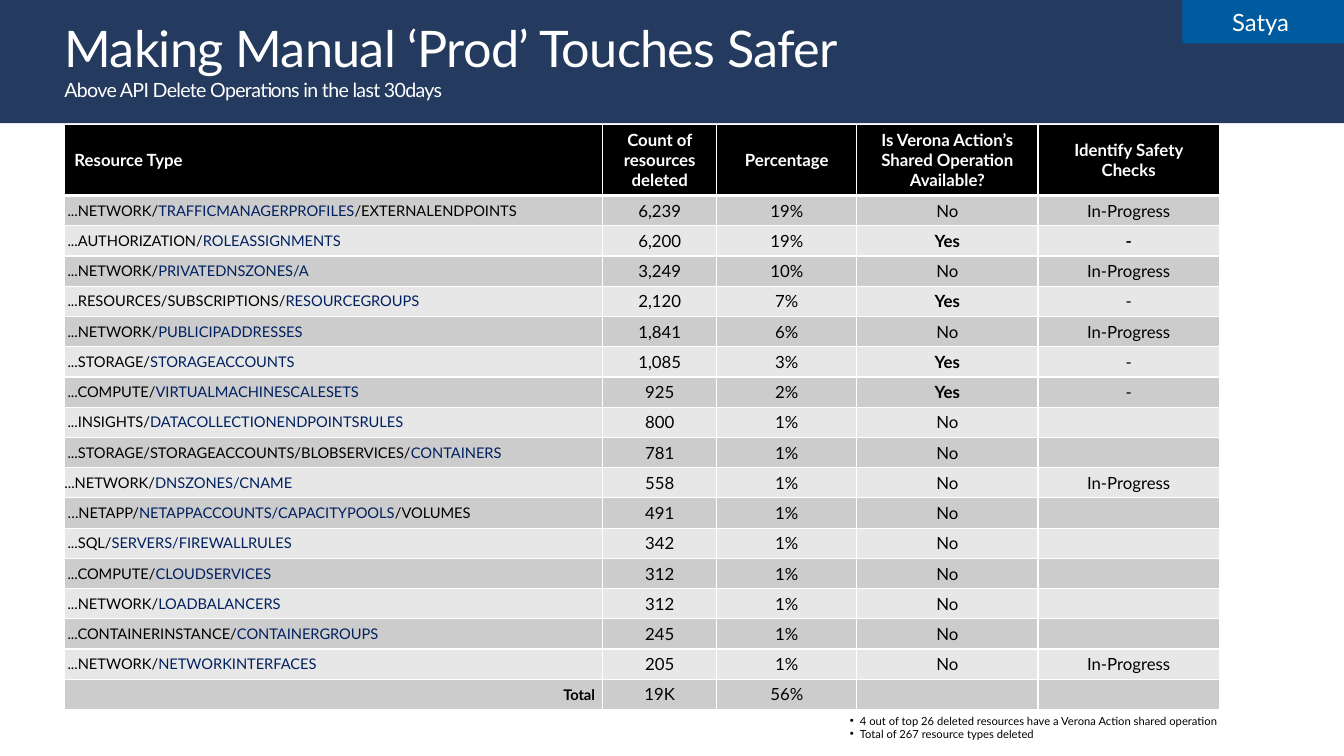
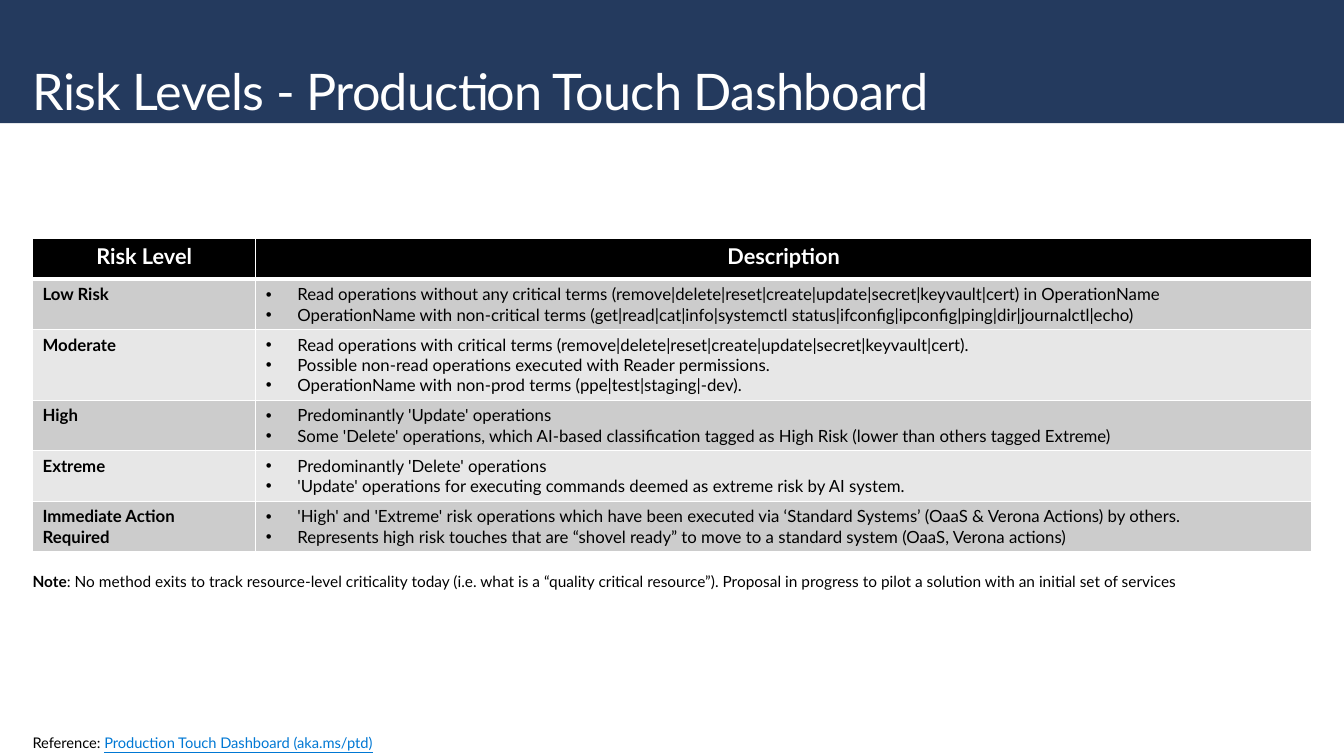
from dataclasses import dataclass, field
from typing import Any, Optional

import lxml.etree
import pptx
import pptx.dml.color
import pptx.enum.shapes
import pptx.enum.text
import pptx.oxml.ns
import pptx.util

Pt = pptx.util.Pt
qn = pptx.oxml.ns.qn
ALIGN = pptx.enum.text.PP_ALIGN
ANCHOR = pptx.enum.text.MSO_ANCHOR

FONT = "Lato"
COLORS = {
    "band": "243A5E", "badge": "005A9F", "white": "FFFFFF", "black": "000000",
    "navy": "002060", "link": "0078D4", "odd": "CCCCCC", "even": "E7E7E7",
}


@dataclass
class Run:
    text: str
    color: str = "black"
    fmt: dict[str, Any] = field(default_factory=dict)


@dataclass
class Para:
    runs: list[Run]
    size: float
    align: Any = ALIGN.LEFT
    bullet: float = 0


@dataclass
class Cell:
    paras: list[Para]
    margins: tuple[float, float, float, float] = (7.2, 3.6, 7.2, 3.6)


@dataclass
class Resource:
    name: str  # "|" switches between plain and highlighted text
    count: str
    share: str
    shared_op: str = "No"
    checks: str = ""
    indent: float = 2.25


@dataclass
class Risk:
    level: str
    notes: list[str]


# Shared helpers
def rgb(name: str) -> Any:
    return pptx.dml.color.RGBColor.from_string(COLORS[name])


def set_margins(obj: Any, margins: tuple[float, float, float, float]) -> None:
    for side, value in zip(("left", "top", "right", "bottom"), margins):
        setattr(obj, f"margin_{side}", Pt(value))


def add_run(p: Any, run: Run, size: float) -> Any:
    r = p.add_run()
    r.text = run.text
    for key, value in ({"name": FONT, "size": Pt(size), "bold": False} | run.fmt).items():
        setattr(r.font, key, value)
    r.font.color.rgb = rgb(run.color)
    return r


def write(tf: Any, paras: list[Para]) -> None:
    for i, para in enumerate(paras):
        p = tf.paragraphs[0] if i == 0 else tf.add_paragraph()
        if para.bullet:
            pPr = p._p.get_or_add_pPr()
            pPr.set("marL", str(Pt(para.bullet)))
            pPr.set("indent", str(-Pt(para.bullet)))
            lxml.etree.SubElement(pPr, qn("a:buFont")).set("typeface", "Arial")
            lxml.etree.SubElement(pPr, qn("a:buChar")).set("char", "•")
        p.alignment = para.align
        for run in para.runs:
            add_run(p, run, para.size)
        if not para.runs:
            end = lxml.etree.SubElement(p._p, qn("a:endParaRPr"))
            end.set("sz", str(int(para.size * 100)))


def add_box(slide: Any, at: tuple[float, float, float, float], paras: list[Para]) -> None:
    tf = slide.shapes.add_textbox(*map(Pt, at)).text_frame
    tf.word_wrap = True
    set_margins(tf, (0, 0, 0, 0))
    write(tf, paras)


def add_rect(slide: Any, at: tuple[float, float, float, float], color: str) -> Any:
    sp = slide.shapes.add_shape(pptx.enum.shapes.MSO_SHAPE.RECTANGLE, *map(Pt, at))
    sp.shadow.inherit = False
    sp.fill.solid()
    sp.fill.fore_color.rgb = rgb(color)
    sp.line.fill.background()
    return sp


def add_band(slide: Any) -> None:
    """Move the title band into the layout so every slide shows it."""
    band = add_rect(slide, (0, 0, 960, 88), "band")
    band._element.nvSpPr.cNvPr.set("id", "100")
    slide.slide_layout.shapes._spTree.insert(2, band._element)


def set_title(slide: Any, at: tuple[float, float, float, float],
              title: str, subtitle: str = "") -> None:
    sp = slide.shapes.title
    sp.left, sp.top, sp.width, sp.height = map(Pt, at)
    tf = sp.text_frame
    tf.word_wrap = True
    tf.vertical_anchor = ANCHOR.MIDDLE
    set_margins(tf, (0, 0, 0, 0))
    p = tf.paragraphs[0]
    p.alignment = ALIGN.LEFT
    for text, size in ((title, 36), (subtitle, 14)):
        if not text:
            continue
        if p.runs:
            p.add_line_break()
        r = add_run(p, Run(text, "white"), size)
        r.font._element.set("spc", "-50")


def set_borders(cell: Any, top: float, bottom: float) -> None:
    tcPr = cell._tc.get_or_add_tcPr()
    for tag, width in (("lnL", 1), ("lnR", 1), ("lnT", top), ("lnB", bottom)):
        ln = lxml.etree.SubElement(tcPr, qn(f"a:{tag}"), w=str(Pt(width)))
        fill = lxml.etree.SubElement(ln, qn("a:solidFill"))
        lxml.etree.SubElement(fill, qn("a:srgbClr"), val=COLORS["white"])


def add_table(slide: Any, left: float, top: float, widths: list[float],
              heights: list[float], rows: list[list[Cell]], anchor: Any) -> None:
    shape = slide.shapes.add_table(len(rows), len(widths), Pt(left), Pt(top),
                                   Pt(sum(widths)), Pt(sum(heights)))
    table = shape.table
    table.horz_banding = False
    for col, width in zip(table.columns, widths):
        col.width = Pt(width)
    for i, (row, height) in enumerate(zip(rows, heights)):
        table.rows[i].height = Pt(height)
        for j, content in enumerate(row):
            cell = table.cell(i, j)
            set_borders(cell, top=3 if i == 1 else 1, bottom=3 if i == 0 else 1)
            cell.fill.solid()
            cell.fill.fore_color.rgb = rgb("black" if i == 0 else "odd" if i % 2 else "even")
            cell.vertical_anchor = anchor
            set_margins(cell, content.margins)
            write(cell.text_frame, content.paras)


def header_cell(text: str, size: float, align: Any = ALIGN.CENTER) -> Cell:
    return Cell([Para([Run(text, "white", {"bold": True})], size, align)])


# Slide 1: deleted resources
HEADERS = ["Resource Type", "Count of resources deleted", "Percentage",
           "Is Verona Action’s Shared Operation Available?", "Identify Safety Checks"]
BUSY = "In-Progress"
RESOURCES = [
    Resource("...NETWORK/|TRAFFICMANAGERPROFILES|/EXTERNALENDPOINTS", "6,239", "19%", checks=BUSY),
    Resource("...AUTHORIZATION/|ROLEASSIGNMENTS", "6,200", "19%", "Yes", "-"),
    Resource("...NETWORK/|PRIVATEDNSZONES/A", "3,249", "10%", checks=BUSY),
    Resource("...RESOURCES/SUBSCRIPTIONS/|RESOURCEGROUPS", "2,120", "7%", "Yes", "-"),
    Resource("...NETWORK/|PUBLICIPADDRESSES", "1,841", "6%", checks=BUSY),
    Resource("...STORAGE/|STORAGEACCOUNTS", "1,085", "3%", "Yes", "-"),
    Resource("...COMPUTE/|VIRTUALMACHINESCALESETS", "925", "2%", "Yes", "-"),
    Resource("...INSIGHTS/|DATACOLLECTIONENDPOINTSRULES", "800", "1%"),
    Resource("...STORAGE/STORAGEACCOUNTS/BLOBSERVICES/|CONTAINERS", "781", "1%"),
    Resource("...NETWORK/|DNSZONES/CNAME", "558", "1%", checks=BUSY, indent=0),
    Resource("…NETAPP/|NETAPPACCOUNTS/CAPACITYPOOLS|/VOLUMES", "491", "1%"),
    Resource("...SQL/|SERVERS/FIREWALLRULES", "342", "1%"),
    Resource("...COMPUTE/|CLOUDSERVICES", "312", "1%"),
    Resource("...NETWORK/|LOADBALANCERS", "312", "1%"),
    Resource("...CONTAINERINSTANCE/|CONTAINERGROUPS", "245", "1%"),
    Resource("...NETWORK/|NETWORKINTERFACES", "205", "1%", checks=BUSY),
]


def value_cell(text: str, bold: Optional[bool] = None) -> Cell:
    strong = text == "Yes" if bold is None else bold
    runs = [Run(text, fmt={"bold": strong})] if text else []
    return Cell([Para(runs, 12, ALIGN.CENTER)], (0, 0, 0, 0))


def resource_row(res: Resource) -> list[Cell]:
    runs = [Run(part, "navy" if i % 2 else "black") for i, part in enumerate(res.name.split("|"))]
    bold_dash = True if res.name.endswith("ROLEASSIGNMENTS") else None
    return [Cell([Para(runs, 10.5)], (res.indent, 0, 0, 0)),
            value_cell(res.count), value_cell(res.share),
            value_cell(res.shared_op), value_cell(res.checks, bold_dash)]


def build_touches(slide: Any) -> None:
    set_title(slide, (46, 12.25, 867.5, 60.5), "Making Manual ‘Prod’ Touches Safer",
              "Above API Delete Operations in the last 30days")
    badge = add_rect(slide, (844.5, 0, 115.5, 31), "badge")
    tf = badge.text_frame
    tf.vertical_anchor = ANCHOR.MIDDLE
    set_margins(tf, (14.4, 0, 18, 0))
    write(tf, [Para([Run("Satya", "white")], 17, ALIGN.CENTER)])

    header = [header_cell(text, 12, ALIGN.CENTER if i else ALIGN.LEFT)
              for i, text in enumerate(HEADERS)]
    total = [Cell([Para([Run("Total", fmt={"bold": True})], 10.5, ALIGN.RIGHT)], (0, 0, 5.5, 0)),
             *map(value_cell, ("19K", "56%", "", ""))]
    rows = [header, *map(resource_row, RESOURCES), total]
    add_table(slide, 46, 89.2, [384.5, 81.5, 100, 129.5, 129.5],
              [50.4] + [21.6] * (len(rows) - 1), rows, ANCHOR.MIDDLE)
    add_box(slide, (607, 510, 275, 19.5), [
        Para([Run(text)], 8, bullet=7.2) for text in (
            "4 out of top 26 deleted resources have a Verona Action shared operation",
            "Total of 267 resource types deleted")])


# Slide 2: risk levels
RISKS = [
    Risk("Low Risk", [
        "Read operations without any critical terms "
        "(remove|delete|reset|create|update|secret|keyvault|cert) in OperationName",
        "OperationName with non-critical terms "
        "(get|read|cat|info|systemctl status|ifconfig|ipconfig|ping|dir|journalctl|echo)"]),
    Risk("Moderate", [
        "Read operations with critical terms "
        "(remove|delete|reset|create|update|secret|keyvault|cert).",
        "Possible non-read operations executed with Reader permissions.",
        "OperationName with non-prod terms (ppe|test|staging|-dev)."]),
    Risk("High", [
        "Predominantly 'Update' operations",
        "Some 'Delete' operations, which AI-based classification tagged as High Risk "
        "(lower than others tagged Extreme)"]),
    Risk("Extreme", [
        "Predominantly 'Delete' operations",
        "'Update' operations for executing commands deemed as extreme risk by AI system."]),
    Risk("Immediate Action Required", [
        "'High' and 'Extreme' risk operations which have been executed via "
        "‘Standard Systems’ (OaaS & Verona Actions) by others.",
        "Represents high risk touches that are “shovel ready” to move to a standard system "
        "(OaaS, Verona actions)"]),
]


def build_risks(slide: Any) -> None:
    set_title(slide, (23.25, 42.5, 867.5, 44), "Risk Levels - Production Touch Dashboard")
    rows = [[header_cell(text, 15.5) for text in ("Risk Level", "Description")]]
    rows += [[Cell([Para([Run(risk.level, fmt={"bold": True})], 12)]),
              Cell([Para([Run(note)], 12, bullet=22.5) for note in risk.notes])]
             for risk in RISKS]
    heights = [29.5] + [14.4 * len(risk.notes) + 7.2 for risk in RISKS]
    add_table(slide, 23.25, 170, [159.5, 754], heights, rows, ANCHOR.TOP)
    add_box(slide, (23.25, 524, 293, 13), [Para([
        Run("Reference: "),
        Run("Production Touch Dashboard (aka.ms/ptd)", "link", {"underline": True})], 10.5)])
    add_box(slide, (23.25, 409, 838, 13.5), [Para([
        Run("Note", fmt={"bold": True}),
        Run(": No method exits to track resource-level criticality today (i.e. what is a "
            "“quality critical resource”). Proposal in progress to pilot a solution with "
            "an initial set of services")], 11)])


def main() -> None:
    prs = pptx.Presentation()
    prs.slide_width, prs.slide_height = Pt(960), Pt(540)
    for i, build in enumerate((build_touches, build_risks)):
        slide = prs.slides.add_slide(prs.slide_layouts[5])
        if i == 0:
            add_band(slide)
        build(slide)
    prs.save("out.pptx")


if __name__ == "__main__":
    main()
